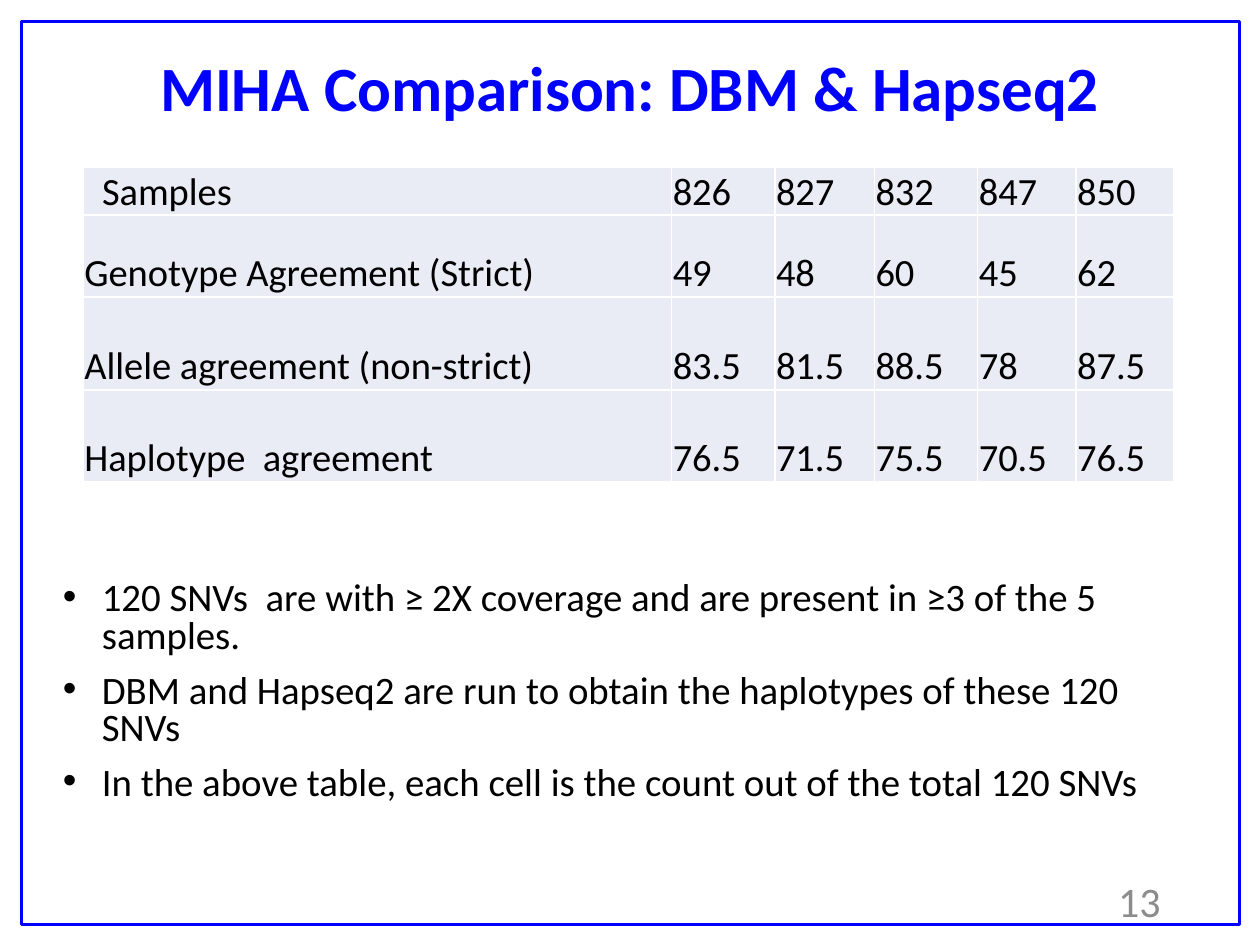
from pptx import Presentation, util as u
from pptx.dml.color import RGBColor
from pptx.enum import shapes, text
from pptx.oxml import parse_xml
from pptx.oxml.ns import nsdecls
from lxml import etree

FONT = "Calibri"
BLUE, BLACK, GREY, WHITE, PALE = "0000FF", "000000", "8C8C8C", "FFFFFF", "E9EBF5"
TITLE = "MIHA Comparison: DBM & Hapseq2"
NOTES = [
    "120 SNVs  are with ≥ 2X coverage and are present in ≥3 of the 5 samples.",
    "DBM and Hapseq2 are run to obtain the haplotypes of these 120 SNVs",
    "In the above table, each cell is the count out of the total 120 SNVs",
]
PAGE_NUMBER = "13"
ROWS = [
    ("Samples", "826", "827", "832", "847", "850"),
    ("Genotype Agreement (Strict)", "49", "48", "60", "45", "62"),
    ("Allele agreement (non-strict)", "83.5", "81.5", "88.5", "78", "87.5"),
    ("Haplotype  agreement", "76.5", "71.5", "75.5", "70.5", "76.5"),
]
COLUMN_WIDTHS = [4.67, 0.82, 0.79, 0.82, 0.78, 0.78]
ROW_HEIGHTS = [0.37, 0.65, 0.74, 0.73]


def color(value):
    return RGBColor.from_string(value)


def add_span(para, words, size, ink, bold=False):
    span = para.add_run()
    span.text = words
    span.font.name = FONT
    span.font.size = u.Pt(size)
    span.font.bold = bold
    span.font.color.rgb = color(ink)


def add_frame(page, left, top, width, height, anchor):
    box = page.shapes.add_textbox(*map(u.Inches, (left, top, width, height)))
    box.text_frame.word_wrap = True
    box.text_frame.vertical_anchor = anchor
    return box.text_frame


def add_line_of_text(page, place, words, size, ink, align, bold=False):
    para = add_frame(page, *place, text.MSO_ANCHOR.MIDDLE).paragraphs[0]
    para.alignment = align
    add_span(para, words, size, ink, bold)
    return para


def add_notes(page):
    frame = add_frame(page, 0.4, 4.57, 9.19, 1.99, text.MSO_ANCHOR.TOP)
    for index, note in enumerate(NOTES):
        para = frame.add_paragraph() if index else frame.paragraphs[0]
        para.line_spacing = 0.8
        para.space_before = u.Pt(10)
        properties = para._p.get_or_add_pPr()
        properties.set("marL", str(u.Inches(0.31)))
        properties.set("indent", str(-u.Inches(0.31)))
        properties.append(parse_xml(f'<a:buFont {nsdecls("a")} typeface="Arial"/>'))
        properties.append(parse_xml(f'<a:buChar {nsdecls("a")} char="•"/>'))
        add_span(para, note, 22.2, BLACK)


def add_borders(cell):
    properties = cell._tc.get_or_add_tcPr()
    for index, side in enumerate(("lnL", "lnR", "lnT", "lnB")):
        border = parse_xml(f'<a:{side} {nsdecls("a")} w="{u.Pt(1)}"/>')
        fill = etree.SubElement(border, border.tag.replace(side, "solidFill"))
        etree.SubElement(fill, border.tag.replace(side, "srgbClr"), val=WHITE)
        properties.insert(index, border)


def add_agreement_table(page):
    place = (0.66, 1.33, sum(COLUMN_WIDTHS), sum(ROW_HEIGHTS))
    table = page.shapes.add_table(
        len(ROWS), len(COLUMN_WIDTHS), *map(u.Inches, place)).table
    table.first_row = table.horz_banding = False
    for column, width in zip(table.columns, COLUMN_WIDTHS):
        column.width = u.Inches(width)
    for row, height, values in zip(table.rows, ROW_HEIGHTS, ROWS):
        row.height = u.Inches(height)
        for cell, value in zip(row.cells, values):
            cell.margin_left = u.Inches(0.15 if value == "Samples" else 0.01)
            cell.margin_right = cell.margin_top = u.Inches(0.01)
            cell.margin_bottom = 0
            cell.vertical_anchor = text.MSO_ANCHOR.BOTTOM
            cell.fill.solid()
            cell.fill.fore_color.rgb = color(PALE)
            add_borders(cell)
            add_span(cell.text_frame.paragraphs[0], value, 22, BLACK)


def add_page_frame(page):
    box = page.shapes.add_shape(
        shapes.MSO_SHAPE.RECTANGLE, *map(u.Inches, (0.17, 0.17, 9.67, 7.17)))
    box.shadow.inherit = False
    box.fill.background()
    box.line.color.rgb = color(BLUE)
    box.line.width = u.Pt(1.5)


def main():
    deck = Presentation()
    deck.slide_width, deck.slide_height = u.Inches(10), u.Inches(7.5)
    page = deck.slides.add_slide(deck.slide_layouts[6])
    title = add_line_of_text(
        page, (0, 0, 10, 1.45), TITLE, 36, BLUE, text.PP_ALIGN.CENTER, True)
    title.line_spacing = 0.9
    add_notes(page)
    add_line_of_text(
        page, (7.06, 6.95, 2.25, 0.4), PAGE_NUMBER, 24, GREY, text.PP_ALIGN.RIGHT)
    add_page_frame(page)
    add_agreement_table(page)
    deck.save("out.pptx")


if __name__ == "__main__":
    main()
